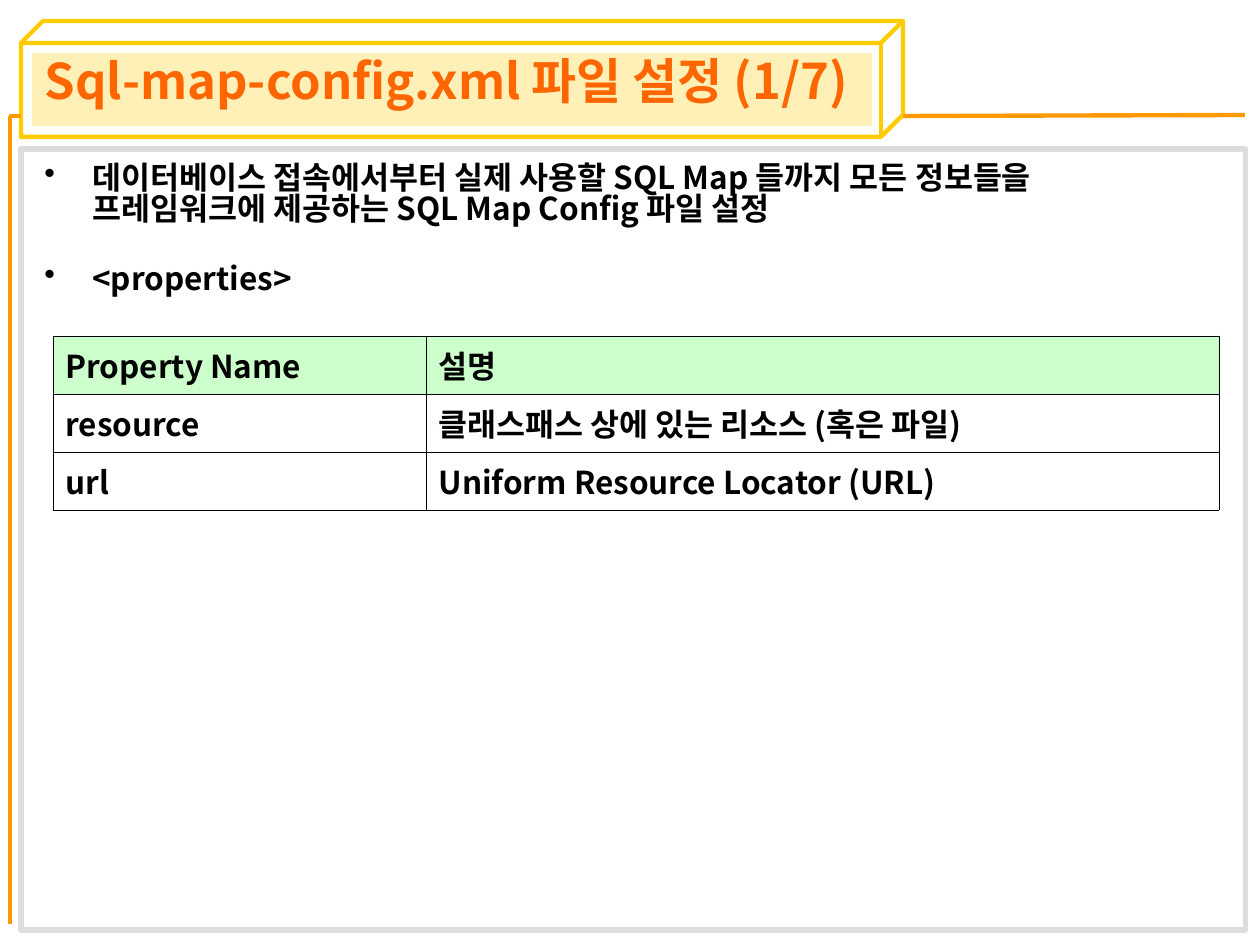
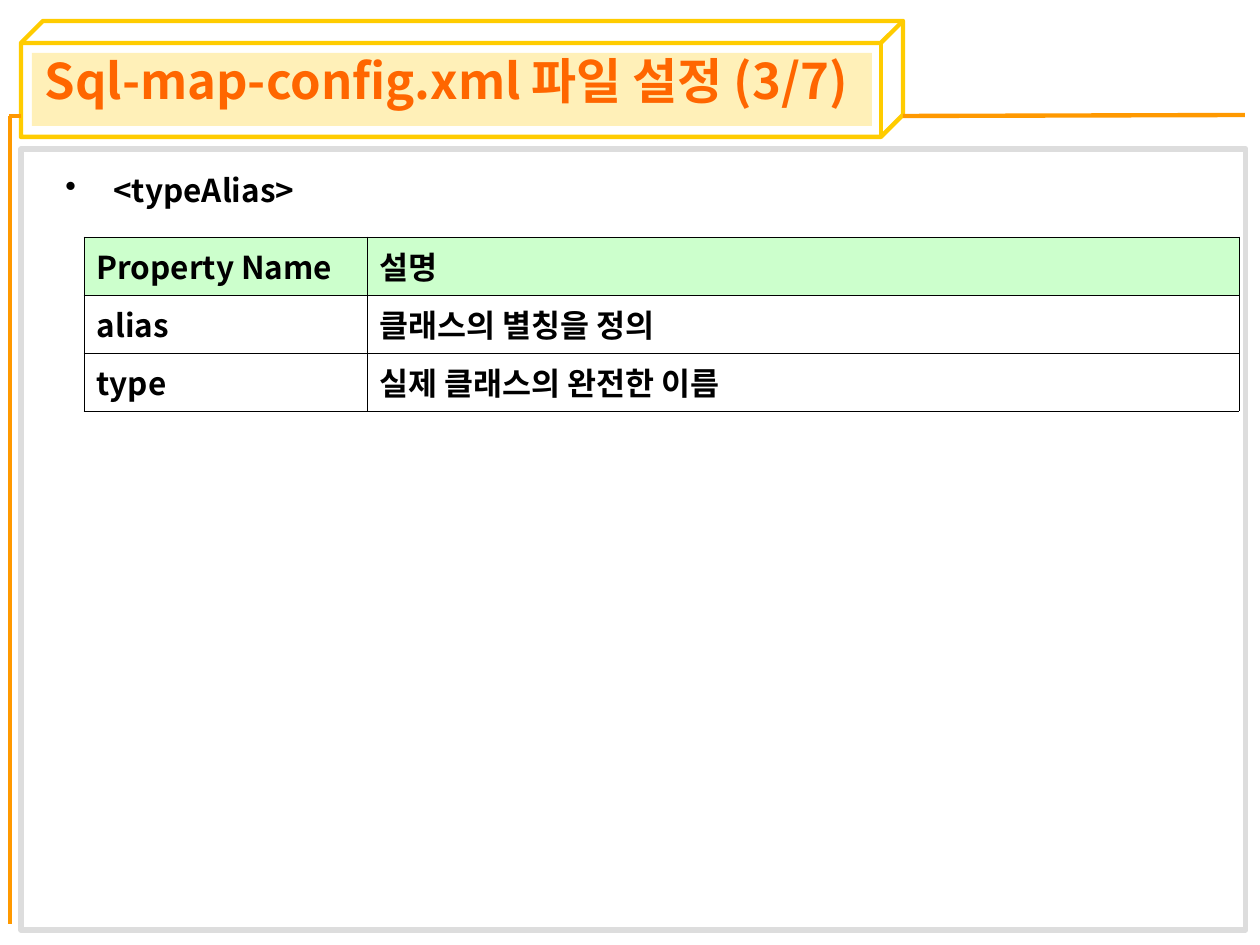
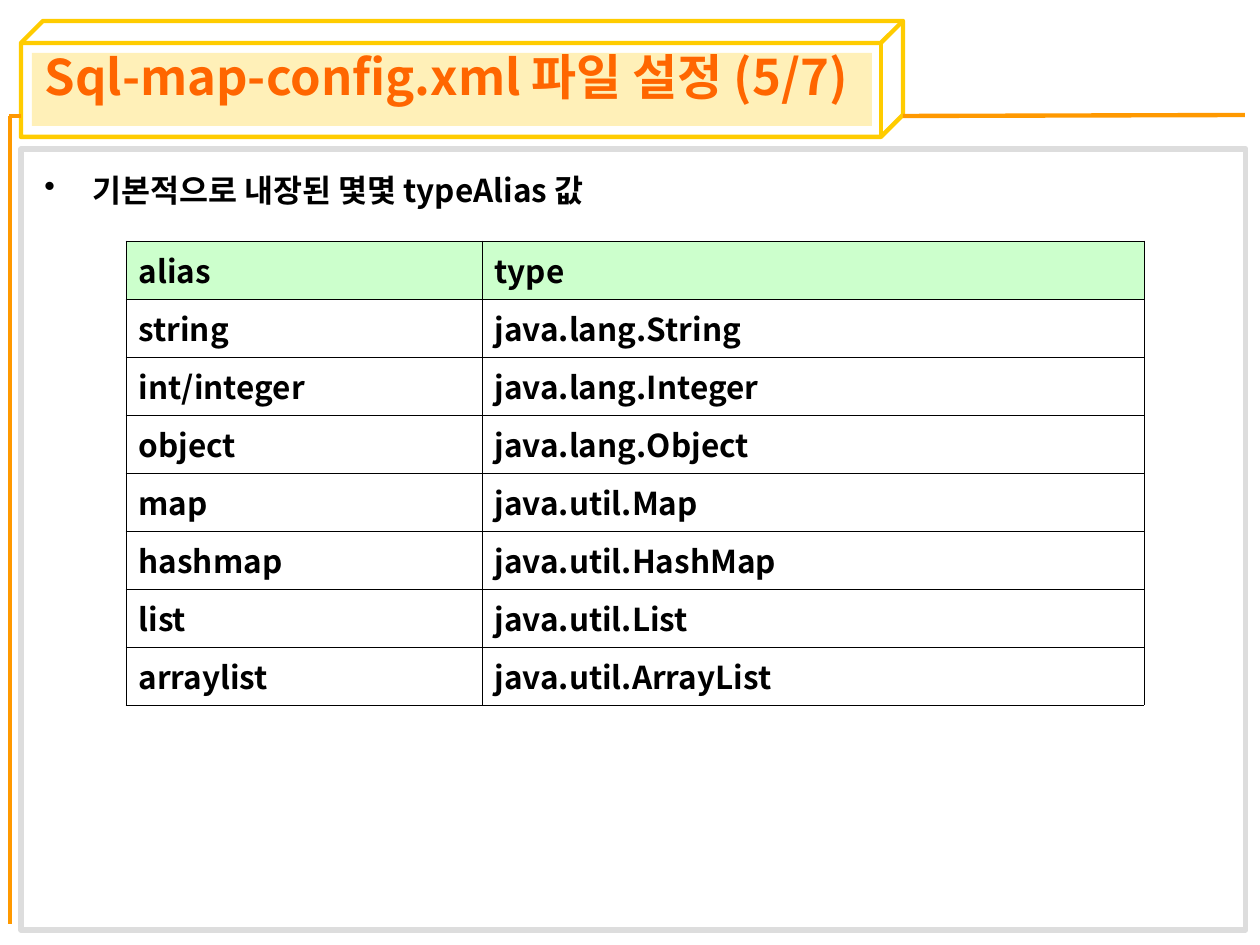
from lxml import etree
from pptx import Presentation, util as u
from pptx.dml.color import RGBColor
from pptx.enum import shapes, text
from pptx.oxml import ns

PX = u.Inches(1) / 126
FONT = "Noto Sans CJK KR"
COLORS = {
    "gold": "FFCC00",
    "orange": "FF9900",
    "title": "FF6600",
    "panel": "DDDDDD",
    "header": "CCFFCC",
    "black": "000000",
}
ROW_HEIGHT = 58
BULLET_INDENT = 48
TITLE_BOX = (32, 57, 1134, 67)


def px(*lengths):
    return [u.Emu(round(length * PX)) for length in lengths]


def rgb(name):
    return RGBColor.from_string(COLORS[name])


def add_xml(parent, tag, **attributes):
    return etree.SubElement(parent, ns.qn(tag), attributes)


def style_text(paragraph, size, color):
    font = paragraph.font
    font.size, font.bold, font.name = u.Pt(size), True, FONT
    font.color.rgb = rgb(color)
    add_xml(font._element, "a:ea", typeface=FONT)


def add_outline(slide, preset, box, color, width):
    outline = slide.shapes.add_shape(preset, *px(*box))
    outline.shadow.inherit = False
    outline.fill.background()
    outline.line.color.rgb = rgb(color)
    outline.line.width = u.Pt(width)
    return outline


def add_rule(slide, *ends):
    rule = slide.shapes.add_connector(shapes.MSO_CONNECTOR.STRAIGHT, *px(*ends))
    rule.line.color.rgb = rgb("orange")
    rule.line.width = u.Pt(2.5)
    add_xml(rule._element.spPr, "a:effectLst")
    return rule


def add_title_band(slide):
    band = slide.shapes.add_shape(shapes.MSO_SHAPE.RECTANGLE, *px(32, 53, 840, 73))
    band.shadow.inherit = False
    band.line.fill.background()
    band.fill.solid()
    band.fill.fore_color.rgb = rgb("gold")
    tint = band._element.spPr.find(".//" + ns.qn("a:srgbClr"))
    add_xml(tint, "a:alpha", val="28000")
    return band


def add_frame(slide):
    """Draw the shared frame and move it to the layout, so every slide shows it."""
    cube = add_outline(slide, shapes.MSO_SHAPE.CUBE, (21, 21, 882, 116), "gold", 2.5)
    cube.adjustments[0] = 0.19
    parts = [
        cube,
        add_title_band(slide),
        add_rule(slide, 10, 116, 10, 924),
        add_rule(slide, 903, 116, 1245, 115),
        add_rule(slide, 9, 116, 21, 116),
        add_outline(slide, shapes.MSO_SHAPE.RECTANGLE, (21, 149, 1225, 781), "panel", 3),
    ]
    for part in parts:
        slide.slide_layout.shapes._spTree.append(part._element)


def set_title(slide, page, box=TITLE_BOX):
    title = slide.shapes.title
    title.left, title.top, title.width, title.height = px(*box)
    frame = title.text_frame
    frame.text = f"Sql-map-config.xml 파일 설정 ({page}/7)"
    frame.auto_size = text.MSO_AUTO_SIZE.NONE
    frame.vertical_anchor = text.MSO_ANCHOR.TOP
    frame.margin_top = frame.margin_bottom = 0
    heading = frame.paragraphs[0]
    heading.alignment = text.PP_ALIGN.LEFT
    heading.line_spacing = 0.9
    style_text(heading, 28, "title")


def add_bullets(slide, box, items, anchor=text.MSO_ANCHOR.MIDDLE):
    frame = slide.shapes.add_textbox(*px(*box)).text_frame
    frame.word_wrap = True
    frame.vertical_anchor = anchor
    for index, item in enumerate(items):
        bullet = frame.paragraphs[0] if index == 0 else frame.add_paragraph()
        bullet.text = item
        bullet.line_spacing = 0.83
        if index:
            bullet.space_before = u.Pt(22)
        properties = bullet._p.get_or_add_pPr()
        indent = px(BULLET_INDENT)[0]
        properties.set("marL", str(indent))
        properties.set("indent", str(-indent))
        add_xml(properties, "a:buChar", char="•")
        style_text(bullet, 18, "black")


def add_borders(cell):
    properties = cell._tc.get_or_add_tcPr()
    for position, side in enumerate(("a:lnL", "a:lnR", "a:lnT", "a:lnB")):
        border = etree.Element(ns.qn(side), w=str(u.Pt(0.45)))
        add_xml(add_xml(border, "a:solidFill"), "a:srgbClr", val=COLORS["black"])
        properties.insert(position, border)


def add_grid(slide, left, top, widths, rows):
    """Add a bordered table whose first row is the green header."""
    box = px(left, top, sum(widths), ROW_HEIGHT * len(rows))
    table = slide.shapes.add_table(len(rows), len(widths), *box).table
    for column, width in zip(table.columns, px(*widths)):
        column.width = width
    for row_index, row in enumerate(rows):
        for column_index, entry in enumerate(row):
            cell = table.cell(row_index, column_index)
            cell.text = entry
            style_text(cell.text_frame.paragraphs[0], 18, "black")
            if row_index == 0:
                cell.fill.solid()
                cell.fill.fore_color.rgb = rgb("header")
            else:
                cell.fill.background()
            add_borders(cell)


def main():
    deck = Presentation()
    deck.slide_width, deck.slide_height = px(1260, 945)
    title_only = deck.slide_layouts[5]
    properties, type_alias, built_in = [
        deck.slides.add_slide(title_only) for _ in range(3)
    ]
    add_frame(properties)

    set_title(properties, 1)
    add_bullets(properties, (32, 158, 1155, 164), [
        "데이터베이스 접속에서부터 실제 사용할 SQL Map 들까지 모든 정보들을 "
        "프레임워크에 제공하는 SQL Map Config 파일 설정",
        "<properties>",
    ], text.MSO_ANCHOR.TOP)
    add_grid(properties, 53, 336, (373, 793), [
        ("Property Name", "설명"),
        ("resource", "클래스패스 상에 있는 리소스 (혹은 파일)"),
        ("url", "Uniform Resource Locator (URL)"),
    ])

    set_title(type_alias, 3)
    add_bullets(type_alias, (53, 168, 1155, 50), ["<typeAlias>"])
    add_grid(type_alias, 84, 237, (283, 872), [
        ("Property Name", "설명"),
        ("alias", "클래스의 별칭을 정의"),
        ("type", "실제 클래스의 완전한 이름"),
    ])

    set_title(built_in, 5, (32, 53, 935, 73))
    add_bullets(built_in, (32, 168, 1155, 50), ["기본적으로 내장된 몇몇 typeAlias 값"])
    add_grid(built_in, 126, 241, (356, 662), [
        ("alias", "type"),
        ("string", "java.lang.String"),
        ("int/integer", "java.lang.Integer"),
        ("object", "java.lang.Object"),
        ("map", "java.util.Map"),
        ("hashmap", "java.util.HashMap"),
        ("list", "java.util.List"),
        ("arraylist", "java.util.ArrayList"),
    ])
    deck.save("out.pptx")


if __name__ == "__main__":
    main()
